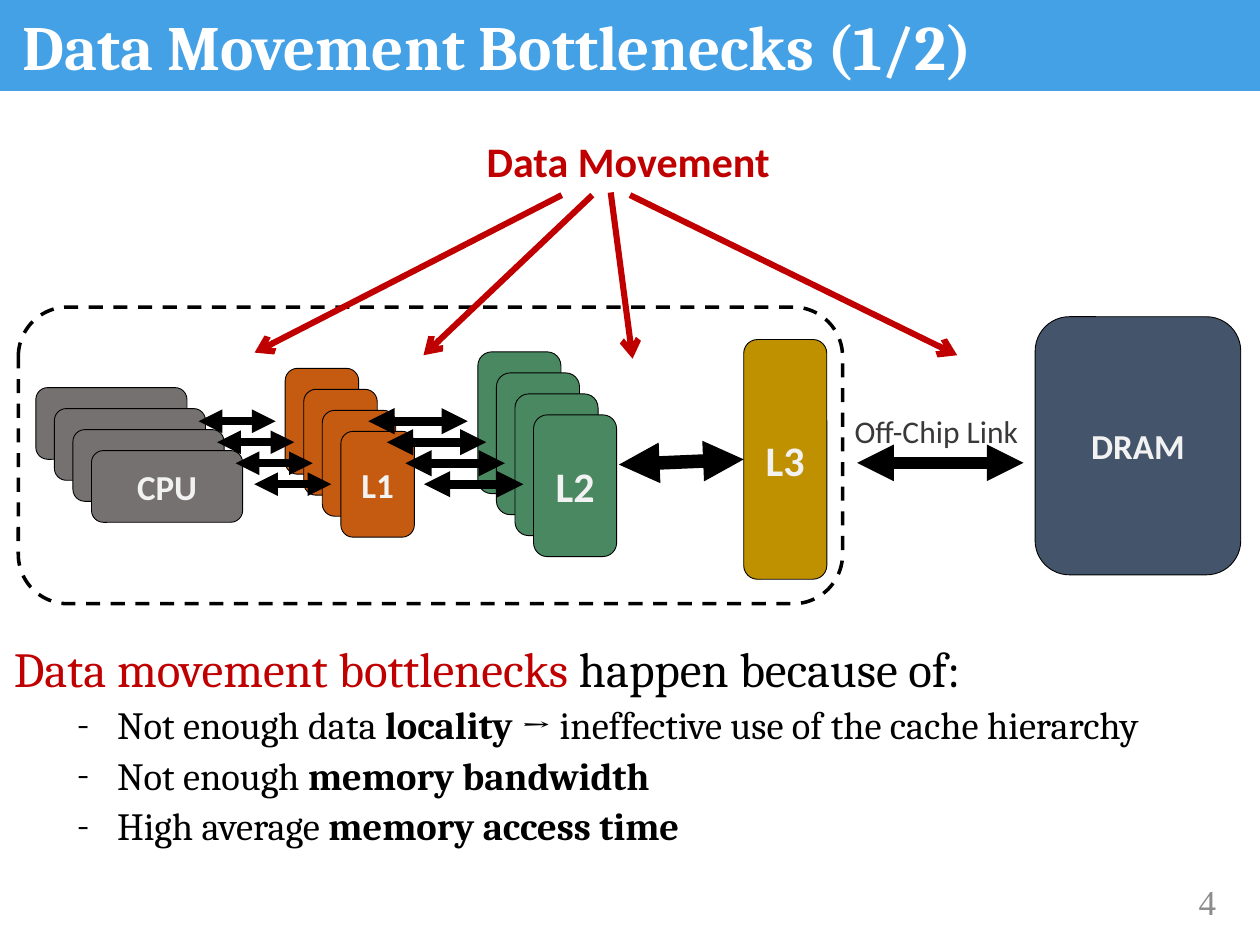
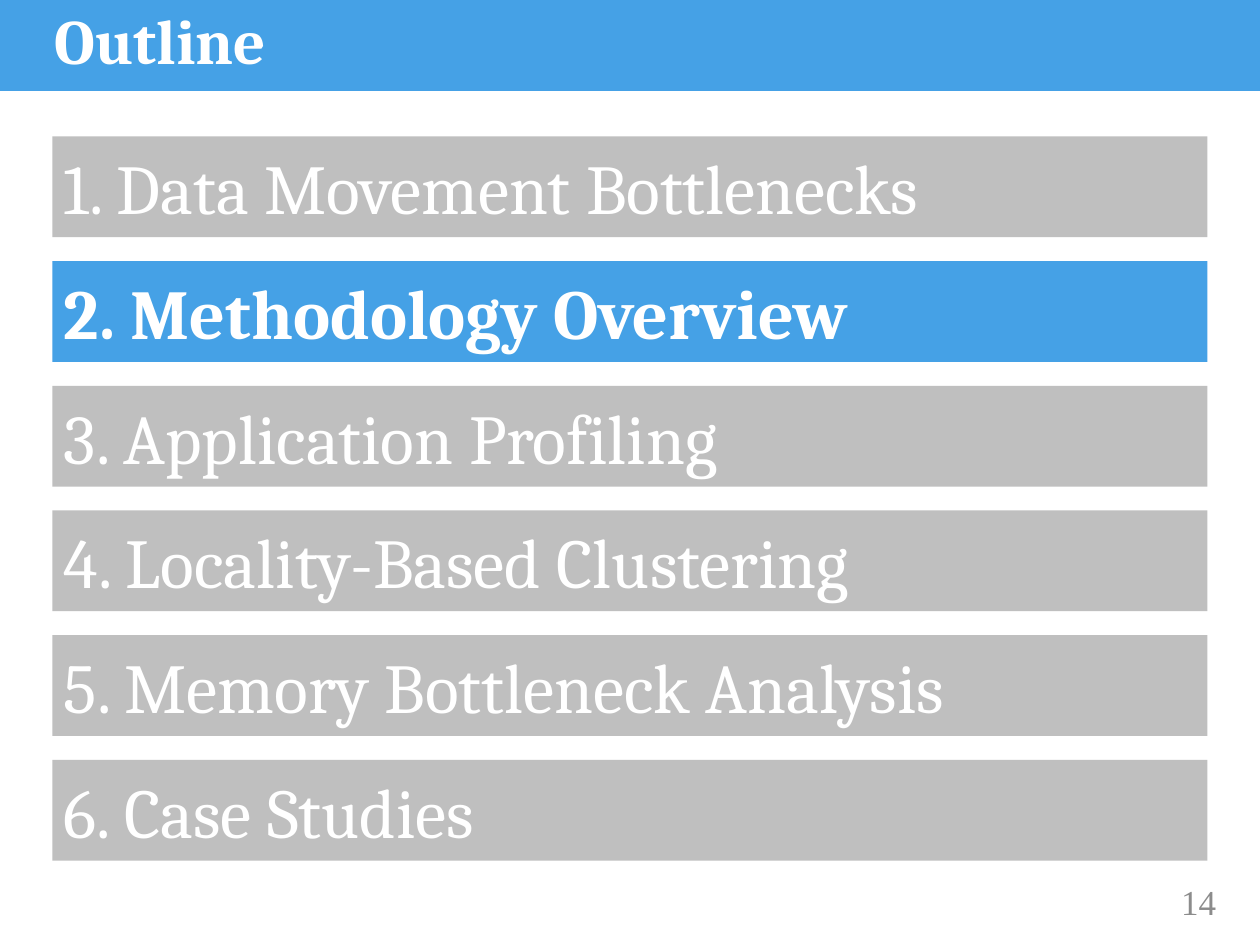
from dataclasses import dataclass

from lxml.etree import SubElement
from pptx import Presentation
from pptx.dml.color import RGBColor
from pptx.enum.dml import MSO_LINE
from pptx.enum.shapes import MSO_CONNECTOR, MSO_SHAPE
from pptx.enum.text import MSO_ANCHOR as Anchor, MSO_AUTO_SIZE as AutoSize, PP_ALIGN as Align
from pptx.oxml.ns import qn
from pptx.util import Pt

BLUE = RGBColor(0x45, 0xA1, 0xE6)
WHITE = RGBColor(0xFF, 0xFF, 0xFF)
BLACK = RGBColor(0, 0, 0)
RED = RGBColor(0xC0, 0, 0)
SILVER = RGBColor(0xBF, 0xBF, 0xBF)
NUMBER_GREY = RGBColor(0x8C, 0x8C, 0x8C)
LINK_GREY = RGBColor(0x3B, 0x38, 0x38)
LABEL_WHITE = RGBColor(0xF2, 0xF2, 0xF2)
CPU_GREY = RGBColor(0x76, 0x71, 0x71)
L1_ORANGE = RGBColor(0xC5, 0x5A, 0x11)
L2_GREEN = RGBColor(0x4A, 0x88, 0x61)
L3_GOLD = RGBColor(0xBF, 0x90, 0)
DRAM_NAVY = RGBColor(0x44, 0x54, 0x6A)

SERIF, SANS, NUMERAL = "Cambria", "Calibri", "Times New Roman"
CORES = 4
STEP_X, STEP_Y = 10.6, 12
OUTLINE = [
    "1. Data Movement Bottlenecks",
    "2. Methodology Overview",
    "3. Application Profiling",
    "4. Locality-Based Clustering",
    "5. Memory Bottleneck Analysis",
    "6. Case Studies",
]
CURRENT = 1
REASONS = [
    [("Not enough data ", False), ("locality ", True),
     ("→ ineffective use of the cache hierarchy", False)],
    [("Not enough ", False), ("memory bandwidth", True)],
    [("High average ", False), ("memory access time", True)],
]


@dataclass
class Box:
    left: float
    top: float
    width: float
    height: float

    def inner(self, left, top, width, height):
        return Box(self.left + left, self.top + top, width, height)

    def point(self, x, y):
        return Pt(self.left + x), Pt(self.top + y)

    def lengths(self):
        return Pt(self.left), Pt(self.top), Pt(self.width), Pt(self.height)


def add_span(para, text, size, color, font=SERIF, bold=False):
    span = para.add_run()
    span.text = text
    span.font.name = font
    span.font.size = Pt(size)
    span.font.bold = bold
    span.font.color.rgb = color


def place(shape, box):
    shape.left, shape.top, shape.width, shape.height = box.lengths()


def add_panel(page, box, fill=None, kind=MSO_SHAPE.RECTANGLE, line_width=0):
    panel = page.shapes.add_shape(kind, *box.lengths())
    panel.shadow.inherit = False
    if fill is None:
        panel.fill.background()
    else:
        panel.fill.solid()
        panel.fill.fore_color.rgb = fill
    if line_width:
        panel.line.color.rgb = BLACK
        panel.line.width = Pt(line_width)
    else:
        panel.line.fill.background()
    return panel


def add_unit(page, box, fill, label="", size=20):
    unit = add_panel(page, box, fill, MSO_SHAPE.ROUNDED_RECTANGLE, 0.5)
    if label:
        frame = unit.text_frame
        frame.margin_left = frame.margin_right = 0
        frame.vertical_anchor = Anchor.MIDDLE
        para = frame.paragraphs[0]
        para.alignment = Align.CENTER
        add_span(para, label, size, LABEL_WHITE, SANS, True)
    return unit


def add_stack(page, box, fill, label, size):
    for core in range(CORES):
        unit = box.inner(core * STEP_X, core * STEP_Y, box.width, box.height)
        add_unit(page, unit, fill, label if core == CORES - 1 else "", size)


def add_arrow(page, start, end, color, width, head=None, tail="triangle"):
    arrow = page.shapes.add_connector(MSO_CONNECTOR.STRAIGHT, *start, *end)
    arrow.line.color.rgb = color
    arrow.line.width = Pt(width)
    properties = arrow.element.spPr
    line = properties.find(qn("a:ln"))
    if head:
        SubElement(line, qn("a:headEnd"), type=head)
    SubElement(line, qn("a:tailEnd"), type=tail)
    SubElement(properties, qn("a:effectLst"))
    return arrow


def add_link(page, start, end, width):
    return add_arrow(page, start, end, BLACK, width, head="triangle")


def add_label(page, box, text, size, color, font, bold=False):
    label = page.shapes.add_textbox(*box.lengths())
    para = label.text_frame.paragraphs[0]
    add_span(para, text, size, color, font, bold)
    return label


def add_band(deck, page):
    band = add_panel(page, Box(0, -2, 720, 54), BLUE)
    band.element.nvSpPr.cNvPr.set("id", "20")
    deck.slide_master.shapes.element.insert(2, band.element)


def add_title(page, box, text):
    title = page.shapes.title
    place(title, box)
    frame = title.text_frame
    frame.auto_size = AutoSize.NONE
    frame.vertical_anchor = Anchor.TOP
    para = frame.paragraphs[0]
    para.alignment = Align.LEFT
    para.line_spacing = 0.9
    add_span(para, text, 36, WHITE, bold=True)


def add_page_number(page, number):
    label = add_label(page, Box(624, 500.5, 78, 29), str(number), 20, NUMBER_GREY, NUMERAL)
    label.text_frame.word_wrap = True
    label.text_frame.vertical_anchor = Anchor.MIDDLE
    label.text_frame.paragraphs[0].alignment = Align.RIGHT


def add_memory_diagram(page, box):
    chip = add_panel(page, box, None, MSO_SHAPE.ROUNDED_RECTANGLE, 2)
    chip.line.dash_style = MSO_LINE.DASH
    add_unit(page, box.inner(581, 5.5, 117.5, 147.5), DRAM_NAVY, "DRAM")
    add_stack(page, box.inner(10, 46, 86.4, 41), CPU_GREY, "CPU", 20)
    add_stack(page, box.inner(152.5, 35, 42, 60.5), L1_ORANGE, "L1", 20)
    add_stack(page, box.inner(262.6, 25.6, 47.5, 81), L2_GREEN, "L2", 24)
    l3 = add_unit(page, box.inner(414.5, 18.5, 47.5, 137), L3_GOLD, "L3", 24)

    for core in range(CORES):
        for left, right, width in ((103, 147, 4.5), (200, 256.8, 5)):
            shift, y = core * STEP_X, 65.2 + core * STEP_Y
            add_link(page, box.point(right + shift, y), box.point(left + shift, y), width)
    l3_link = add_link(page, box.point(414.5, 89), box.point(343.2, 90), 7.75)
    l3_link.begin_connect(l3, 1)
    add_link(page, box.point(574.4, 89), box.point(479.3, 89), 7)

    off_chip = add_label(page, box.inner(470.7, 56.5, 109, 29),
                         "Off-Chip Link", 18, LINK_GREY, SANS)
    off_chip.text_frame.word_wrap = False


def add_movement_callout(page, box):
    label = add_label(page, box, "Data Movement", 24, RED, SANS, True)
    label.text_frame.word_wrap = False
    for start, end in (
        ((50, 37.5), (-125.5, 127.5)),
        ((67.5, 37.5), (-29, 129)),
        ((78, 36), (90.5, 131)),
        ((89, 37.5), (276, 129)),
    ):
        add_arrow(page, box.point(*start), box.point(*end), RED, 3.5, tail="arrow")


def set_indent(para, margin, indent, bullet=None):
    properties = para._p.get_or_add_pPr()
    properties.set("marL", str(Pt(margin)))
    properties.set("indent", str(Pt(indent)))
    if bullet:
        SubElement(properties, qn("a:buFont"), typeface=SERIF)
        SubElement(properties, qn("a:buChar"), char=bullet)
    else:
        SubElement(properties, qn("a:buNone"))


def add_reasons(page, box):
    body = page.placeholders[1]
    place(body, box)
    frame = body.text_frame
    frame.auto_size = AutoSize.NONE
    frame.vertical_anchor = Anchor.TOP
    lead = frame.paragraphs[0]
    set_indent(lead, 0, 0)
    lead.line_spacing = 0.9
    lead.space_before = Pt(0)
    add_span(lead, "Data movement bottlenecks ", 28, RED)
    add_span(lead, "happen because of:", 28, BLACK)
    for reason in REASONS:
        para = frame.add_paragraph()
        para.level = 1
        set_indent(para, 59, -23, "-")
        para.line_spacing = 0.9
        para.space_before = Pt(5)
        for text, bold in reason:
            add_span(para, text, 22, BLACK, bold=bold)


def add_outline(page, box):
    bar_height = 57.6
    pitch = (box.height - bar_height) / (len(OUTLINE) - 1)
    for index, topic in enumerate(OUTLINE):
        current = index == CURRENT
        bar = add_panel(page, box.inner(0, index * pitch, box.width, bar_height),
                        BLUE if current else SILVER)
        frame = bar.text_frame
        frame.margin_left = Pt(6.5)
        frame.vertical_anchor = Anchor.MIDDLE
        para = frame.paragraphs[0]
        para.alignment = Align.LEFT
        add_span(para, topic, 40, WHITE, bold=current)


def build_bottleneck_page(deck):
    page = deck.slides.add_slide(deck.slide_layouts[1])
    add_band(deck, page)
    add_title(page, Box(5.5, 5.5, 708, 58), "Data Movement Bottlenecks (1/2)")
    add_memory_diagram(page, Box(10.5, 175.5, 471, 169.5))
    add_movement_callout(page, Box(271, 74, 178, 36))
    add_reasons(page, Box(0.7, 365, 715, 133))
    add_page_number(page, 4)


def build_outline_page(deck):
    page = deck.slides.add_slide(deck.slide_layouts[5])
    add_title(page, Box(24, 2, 648, 70), "Outline")
    add_outline(page, Box(30, 78, 660, 413.8))
    add_page_number(page, 14)


def main():
    deck = Presentation()
    deck.slide_width, deck.slide_height = Pt(720), Pt(540)
    build_bottleneck_page(deck)
    build_outline_page(deck)
    deck.save("out.pptx")


if __name__ == "__main__":
    main()
